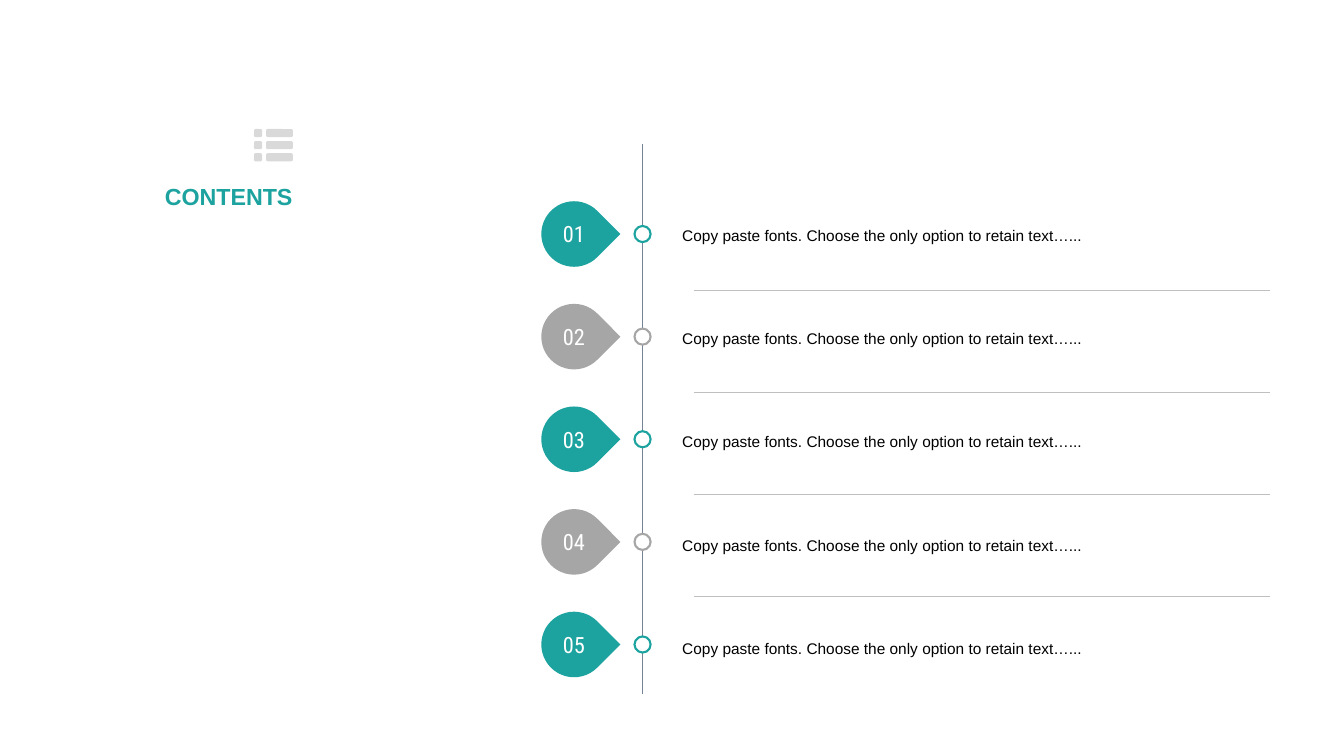
from lxml import etree
from pptx import Presentation
from pptx import util as u
from pptx.dml.color import RGBColor
from pptx.enum import shapes, text
from pptx.oxml.ns import qn

CELL = 0.1  # inches per grid column and row
COLS, ROWS = 133.33, 75
COLORS = {"teal": "1CA39F", "gray": "A6A6A6", "icon": "D9D9D9", "axis": "768394",
          "divider": "BFBFBF", "white": "FFFFFF", "black": "000000"}
ENTRIES = ["Copy paste fonts. Choose the only option to retain text…..."] * 5

AXIS_X = 63.75
BADGE_X = 56.95
FIRST_BADGE_Y, BADGE_PITCH = 23.22, 10.18
FIRST_ENTRY_Y, ENTRY_PITCH = 23.15, 10.25
FIRST_DIVIDER_Y, DIVIDER_PITCH = 28.8, 10.13


def grid(cells):
    return u.Inches(cells * CELL)


def color(name):
    return RGBColor.from_string(COLORS[name])


class ContentsSlide:
    body_font = "Arial"
    number_font = "Roboto Condensed"

    def __init__(self, deck):
        self.slide = deck.slides.add_slide(deck.slide_layouts[5])

    def set_text(self, shape, words, size, ink, font, align, bold=False, spacing=1.0):
        """Put one vertically centred paragraph into a shape."""
        frame = shape.text_frame
        frame.text = words
        frame.auto_size = text.MSO_AUTO_SIZE.NONE
        frame.vertical_anchor = text.MSO_ANCHOR.MIDDLE
        paragraph = frame.paragraphs[0]
        paragraph.alignment = align
        paragraph.line_spacing = spacing
        paragraph.font.name = font
        paragraph.font.size = u.Pt(size)
        paragraph.font.bold = bold
        paragraph.font.color.rgb = color(ink)
        return frame

    def title(self, words, left, top, width, height):
        heading = self.slide.shapes.title
        heading.left, heading.top = grid(left), grid(top)
        heading.width, heading.height = grid(width), grid(height)
        self.set_text(heading, words, 16.6, "teal", self.body_font,
                      text.PP_ALIGN.RIGHT, bold=True)

    def shape(self, preset, left, top, width, height, fill, outline=None):
        item = self.slide.shapes.add_shape(
            preset, grid(left), grid(top), grid(width), grid(height))
        item.shadow.inherit = False
        item.fill.solid()
        item.fill.fore_color.rgb = color(fill)
        if outline:
            item.line.color.rgb = color(outline)
            item.line.width = u.Pt(1.5)
        else:
            item.line.fill.background()
        return item

    def centered(self, preset, x, y, size, fill, outline=None):
        """Add a square shape around the point x, y."""
        return self.shape(preset, x - size / 2, y - size / 2, size, size, fill, outline)

    def line(self, x1, y1, x2, y2, ink, width):
        rule = self.slide.shapes.add_connector(
            shapes.MSO_CONNECTOR.STRAIGHT, grid(x1), grid(y1), grid(x2), grid(y2))
        rule.line.color.rgb = color(ink)
        rule.line.width = u.Pt(width)
        etree.SubElement(rule._element.spPr, qn("a:effectLst"))

    def list_icon(self, left, top):
        """Draw three rows, each a short bullet and a long bar."""
        for row in range(3):
            for offset, width in ((0, 0.8), (1.2, 2.65)):
                bar = self.shape(shapes.MSO_SHAPE.ROUNDED_RECTANGLE, left + offset,
                                 top + row * 1.2, width, 0.8, "icon")
                bar.adjustments[0] = 0.2

    def badge(self, number, y, fill):
        """Add a pointed number badge and its ring on the axis."""
        self.centered(shapes.MSO_SHAPE.OVAL, AXIS_X, y, 1.6, "white", fill)
        self.centered(shapes.MSO_SHAPE.TEAR, BADGE_X, y, 6.5, fill).rotation = 45
        disc = self.centered(shapes.MSO_SHAPE.OVAL, BADGE_X, y, 6.3, fill)
        frame = self.set_text(disc, f"{number:02d}", 16, "white", self.number_font,
                              text.PP_ALIGN.CENTER)
        frame.word_wrap = False

    def entry(self, words, y):
        left, width, height = 66.7, 59.3, 4.7
        box = self.slide.shapes.add_textbox(
            grid(left), grid(y - height / 2), grid(width), grid(height))
        frame = self.set_text(box, words, 11, "black", self.body_font,
                              text.PP_ALIGN.LEFT, spacing=1.2)
        frame.word_wrap = True


def main():
    deck = Presentation()
    deck.slide_width, deck.slide_height = grid(COLS), grid(ROWS)
    contents = ContentsSlide(deck)
    contents.title("CONTENTS", 7.3, 17.7, 22.7, 3.5)
    contents.list_icon(25.2, 12.8)
    contents.line(AXIS_X, 14.3, AXIS_X, 68.9, "axis", 0.5)
    for index, words in enumerate(ENTRIES):
        fill = ("teal", "gray")[index % 2]
        contents.badge(index + 1, FIRST_BADGE_Y + index * BADGE_PITCH, fill)
        contents.entry(words, FIRST_ENTRY_Y + index * ENTRY_PITCH)
    for index in range(len(ENTRIES) - 1):
        y = FIRST_DIVIDER_Y + index * DIVIDER_PITCH
        contents.line(68.8, y, 126, y, "divider", 0.25)
    deck.save("out.pptx")


if __name__ == "__main__":
    main()
